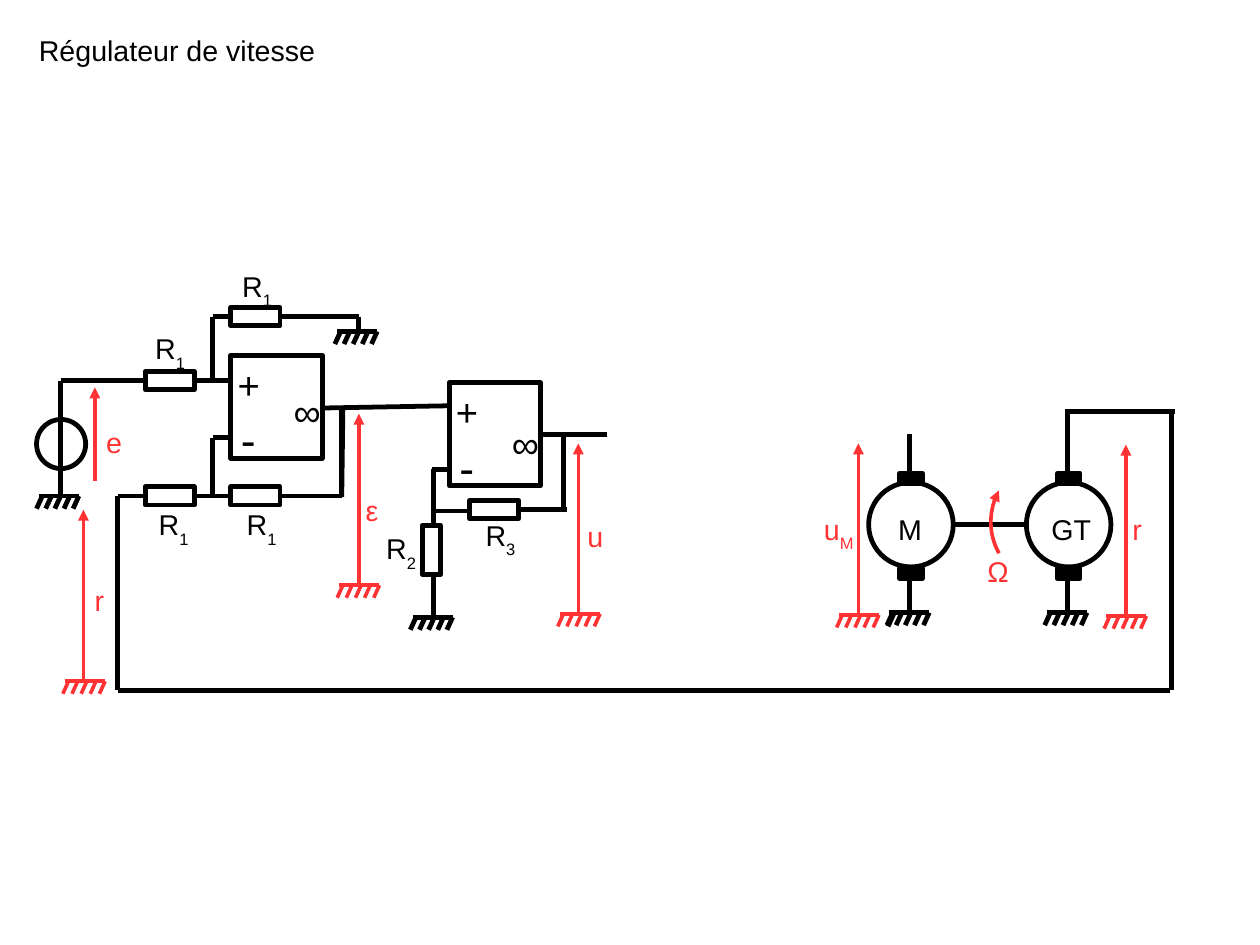
from dataclasses import dataclass

import pptx
import pptx.dml.color
import pptx.enum.shapes
import pptx.enum.text
import pptx.oxml.ns
import pptx.util
from lxml import etree

Inches = pptx.util.Inches
Pt = pptx.util.Pt
SHAPE = pptx.enum.shapes.MSO_SHAPE

CM_PER_INCH = 2.54
COLOURS = {"wire": "000000", "signal": "FF3333", "paper": "FFFFFF"}
WIDTHS = {"wire": 3, "signal": 2.3}


@dataclass
class Label:
    text: str
    x: float
    y: float
    w: float
    sub: str = ""
    colour: str = "wire"


@dataclass
class Signal:
    """A red voltage arrow, with the left end of its ground bar."""
    x: float
    ground_x: float
    bottom: float
    top: float


@dataclass
class Machine:
    x: float
    name: str
    name_dx: float
    name_w: float


RESISTORS = [(1.27, 3.25, 0), (2.02, 2.69, 0), (2.02, 4.26, 0), (1.27, 4.26, 0),
             (3.56, 4.73, 270), (4.11, 4.38, 0)]
OP_AMPS = [(2.02, 3.11, 0.24), (3.93, 3.35, 0.28)]
MACHINES = [Machine(7.6, "M", 0.16, 0.39), Machine(8.98, "GT", 0.12, 0.63)]
GROUNDS = [(0.34, 4.34), (2.95, 2.9), (3.61, 5.4), (7.78, 5.36), (9.16, 5.36)]
WIRES = [
    # source and summing inputs
    (0.53, 4.34, 0.53, 3.33), (0.53, 3.33, 1.27, 3.33), (1.7, 3.33, 2.02, 3.33),
    (2.02, 2.77, 1.86, 2.77), (1.86, 3.33, 1.86, 2.77), (2.44, 2.77, 3.14, 2.77),
    (3.14, 2.9, 3.14, 2.77), (2.02, 4.34, 1.7, 4.34), (1.86, 4.34, 1.86, 3.83),
    (1.86, 3.83, 2.02, 3.83), (2.99, 4.35, 3, 3.57), (2.99, 4.35, 2.99, 3.56),
    (2.99, 4.34, 2.45, 4.34),
    # amplifier
    (2.82, 3.57, 3.93, 3.55), (3.78, 4.11, 3.95, 4.11), (3.79, 4.59, 3.79, 4.1),
    (3.79, 4.47, 4.09, 4.47), (3.79, 5.4, 3.79, 5.01), (4.71, 3.8, 5.31, 3.8),
    (4.96, 4.46, 4.53, 4.46), (4.93, 4.46, 4.93, 3.8),
    # motor, tachometer and feedback
    (7.96, 4.22, 7.96, 3.8), (7.96, 5.36, 7.96, 4.97), (7.77, 5.48, 7.82, 5.37),
    (8.35, 4.59, 8.98, 4.59), (9.34, 4.22, 9.34, 3.6), (9.34, 5.36, 9.34, 4.97),
    (9.32, 3.6, 10.28, 3.6), (10.25, 6.04, 10.25, 3.6), (1.03, 6.04, 10.24, 6.04),
    (1.03, 6.04, 1.03, 4.34), (1.27, 4.34, 1.03, 4.34),
]
SIGNALS = [
    Signal(7.51, 7.34, 5.38, 3.88), Signal(9.85, 9.68, 5.39, 3.89),
    Signal(0.73, 0.57, 5.96, 4.46), Signal(3.14, 2.97, 5.12, 3.62),
    Signal(5.06, 4.9, 5.37, 3.88),
]
LABELS = [
    Label("R", 1.29, 4.39, 0.49, "1"), Label("R", 2.06, 4.39, 0.5, "1"),
    Label("R", 1.26, 2.85, 0.55, "1"), Label("R", 2.02, 2.3, 0.5, "1"),
    Label("R", 3.28, 4.6, 0.5, "2"), Label("R", 4.15, 4.48, 0.5, "3"),
    Label("u", 7.11, 4.43, 0.55, "M", "signal"),
    Label("Ω", 8.54, 4.8, 0.39, colour="signal"),
    Label("r", 9.81, 4.43, 0.34, colour="signal"),
    Label("e", 0.83, 3.67, 0.34, colour="signal"),
    Label("r", 0.73, 5.05, 0.34, colour="signal"),
    Label("ε", 3.1, 4.26, 0.34, colour="signal"),
    Label("u", 5.04, 4.49, 0.34, colour="signal"),
]
ROTATION_CURVE = [(8.74, 4.84), (8.58, 4.55), (8.74, 4.29), (8.74, 4.29)]


def rgb(name: str) -> pptx.dml.color.RGBColor:
    return pptx.dml.color.RGBColor.from_string(COLOURS[name])


def style_line(sp, colour: str, arrow: bool = False) -> None:
    sp.line.color.rgb = rgb(colour)
    sp.line.width = Pt(WIDTHS[colour])
    if arrow:
        ln = sp.line._get_or_add_ln()
        etree.SubElement(ln, pptx.oxml.ns.qn("a:tailEnd"), type="triangle")


def add_line(s, x1: float, y1: float, x2: float, y2: float,
             colour: str = "wire", arrow: bool = False) -> None:
    line = s.shapes.add_connector(pptx.enum.shapes.MSO_CONNECTOR.STRAIGHT,
                                  Inches(x1), Inches(y1), Inches(x2), Inches(y2))
    style_line(line, colour, arrow)
    etree.SubElement(line._element.spPr, pptx.oxml.ns.qn("a:effectLst"))


def add_block(s, kind: SHAPE, x: float, y: float, w: float, h: float,
              fill: str = "paper", rotation: float = 0) -> None:
    sp = s.shapes.add_shape(kind, Inches(x), Inches(y), Inches(w), Inches(h))
    sp.shadow.inherit = False
    sp.rotation = rotation
    sp.fill.solid()
    sp.fill.fore_color.rgb = rgb(fill)
    style_line(sp, "wire")


def write(tf, text: str, *, size: float = 18, colour: str = "wire", sub: str = "") -> None:
    tf.word_wrap = True
    tf.auto_size = pptx.enum.text.MSO_AUTO_SIZE.SHAPE_TO_FIT_TEXT
    tf.vertical_anchor = pptx.enum.text.MSO_ANCHOR.TOP
    p = tf.paragraphs[0]
    p.alignment = pptx.enum.text.PP_ALIGN.LEFT
    for part in filter(None, (text, sub)):
        r = p.add_run()
        r.text = part
        r.font.name = "Arial"
        r.font.size = Pt(size)
        r.font.color.rgb = rgb(colour)
    if sub:
        r._r.get_or_add_rPr().set("baseline", "-33000")


def add_text(s, text: str, x: float, y: float, w: float, h: float, **fmt) -> None:
    box = s.shapes.add_textbox(Inches(x), Inches(y), Inches(w), Inches(h))
    write(box.text_frame, text, **fmt)


def add_ground(s, x: float, y: float, colour: str = "wire") -> None:
    add_line(s, x, y, x + 0.35, y, colour)
    for i in range(5):
        top = x + 0.35 - 0.08 * i
        add_line(s, top - 0.05, y + 0.11, top, y, colour)


def add_op_amp(s, x: float, y: float, gain_dy: float) -> None:
    add_block(s, SHAPE.RECTANGLE, x, y, 0.8, 0.9)
    add_text(s, "+", x - 0.04, y, 0.35, 0.47, size=24)
    add_text(s, "-", x - 0.01, y + 0.45, 0.27, 0.53, size=28)
    add_text(s, "∞", x + 0.45, y + gain_dy, 0.27, 0.47, size=24)


def add_machine(s, m: Machine) -> None:
    add_block(s, SHAPE.OVAL, m.x, 4.22, 0.74, 0.74)
    for brush_y in (4.14, 4.97):
        add_block(s, SHAPE.RECTANGLE, m.x + 0.27, brush_y, 0.2, 0.09, fill="wire")
    add_text(s, m.name, m.x + m.name_dx, 4.43, m.name_w, 0.38)


def add_curved_arrow(s, controls: list[tuple[float, float]], steps: int = 24) -> None:
    """Draw a cubic Bézier curve as a chain of short segments."""
    points = []
    for i in range(steps + 1):
        t = i / steps
        weights = ((1 - t) ** 3, 3 * t * (1 - t) ** 2, 3 * t * t * (1 - t), t ** 3)
        points.append(tuple(Inches(sum(k * c[axis] for k, c in zip(weights, controls)))
                            for axis in (0, 1)))
    builder = s.shapes.build_freeform(*points[0])
    builder.add_line_segments(points[1:], close=False)
    sp = builder.convert_to_shape()
    sp.shadow.inherit = False
    sp.fill.background()
    style_line(sp, "signal", arrow=True)


def main() -> None:
    prs = pptx.Presentation()
    prs.slide_width = Inches(28 / CM_PER_INCH)
    prs.slide_height = Inches(21 / CM_PER_INCH)
    s = prs.slides.add_slide(prs.slide_layouts[5])
    title = s.shapes.title
    title.left, title.top = Inches(0.24), Inches(0.24)
    title.width, title.height = Inches(3.62), Inches(0.38)
    write(title.text_frame, "Régulateur de vitesse")

    add_block(s, SHAPE.OVAL, 0.32, 3.67, 0.43, 0.43)
    for wire in WIRES:
        add_line(s, *wire)
    for x, y in GROUNDS:
        add_ground(s, x, y)
    for op_amp in OP_AMPS:
        add_op_amp(s, *op_amp)
    for x, y, rotation in RESISTORS:
        add_block(s, SHAPE.RECTANGLE, x, y, 0.43, 0.16, rotation=rotation)
    for machine in MACHINES:
        add_machine(s, machine)
    for sig in SIGNALS:
        add_line(s, sig.x, sig.bottom, sig.x, sig.top, "signal", arrow=True)
        add_ground(s, sig.ground_x, sig.bottom, "signal")
    add_line(s, 0.83, 4.21, 0.83, 3.39, "signal", arrow=True)
    add_curved_arrow(s, ROTATION_CURVE)
    for lb in LABELS:
        add_text(s, lb.text, lb.x, lb.y, lb.w, 0.44 if lb.sub else 0.38,
                 sub=lb.sub, colour=lb.colour)
    prs.save("out.pptx")


if __name__ == "__main__":
    main()
